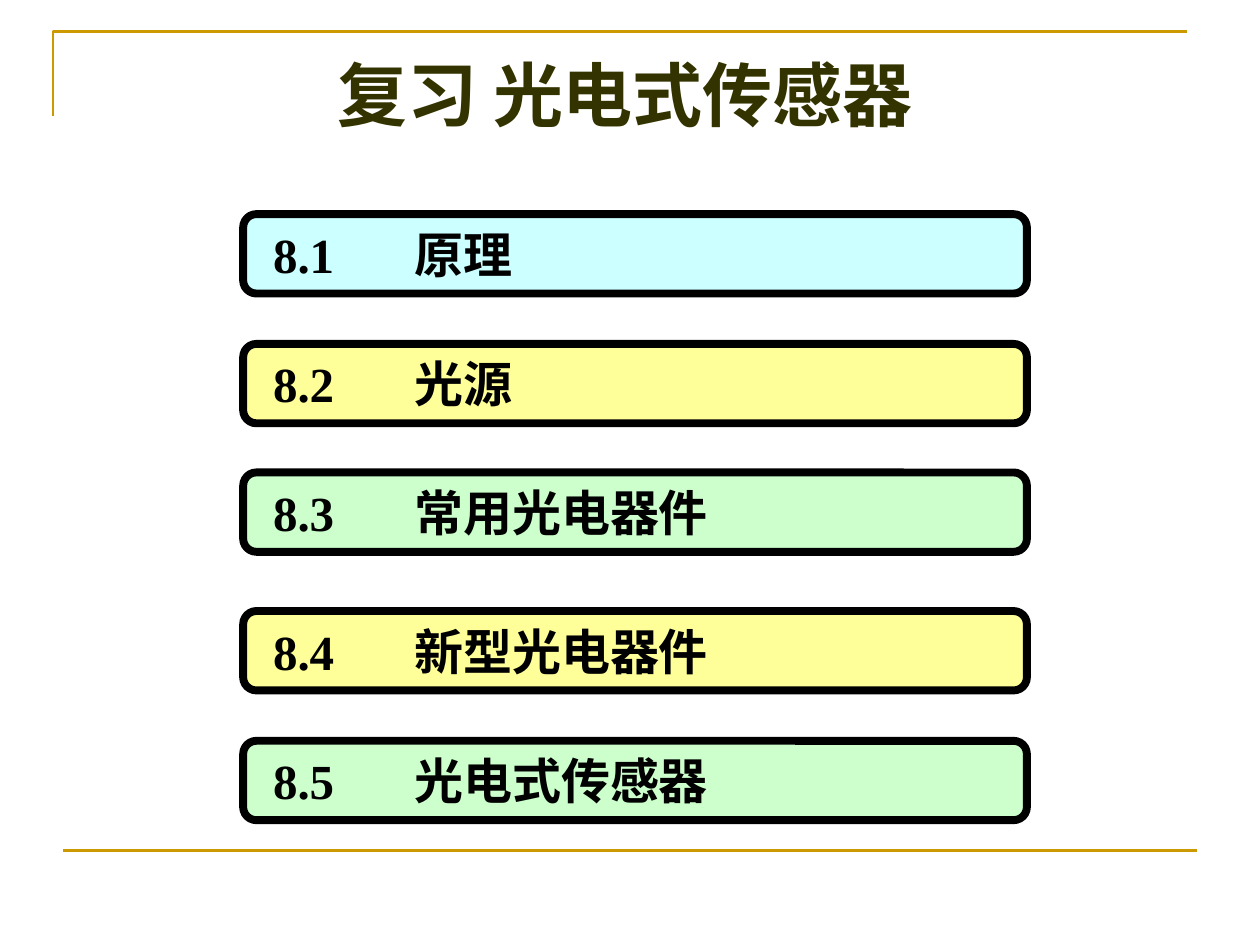
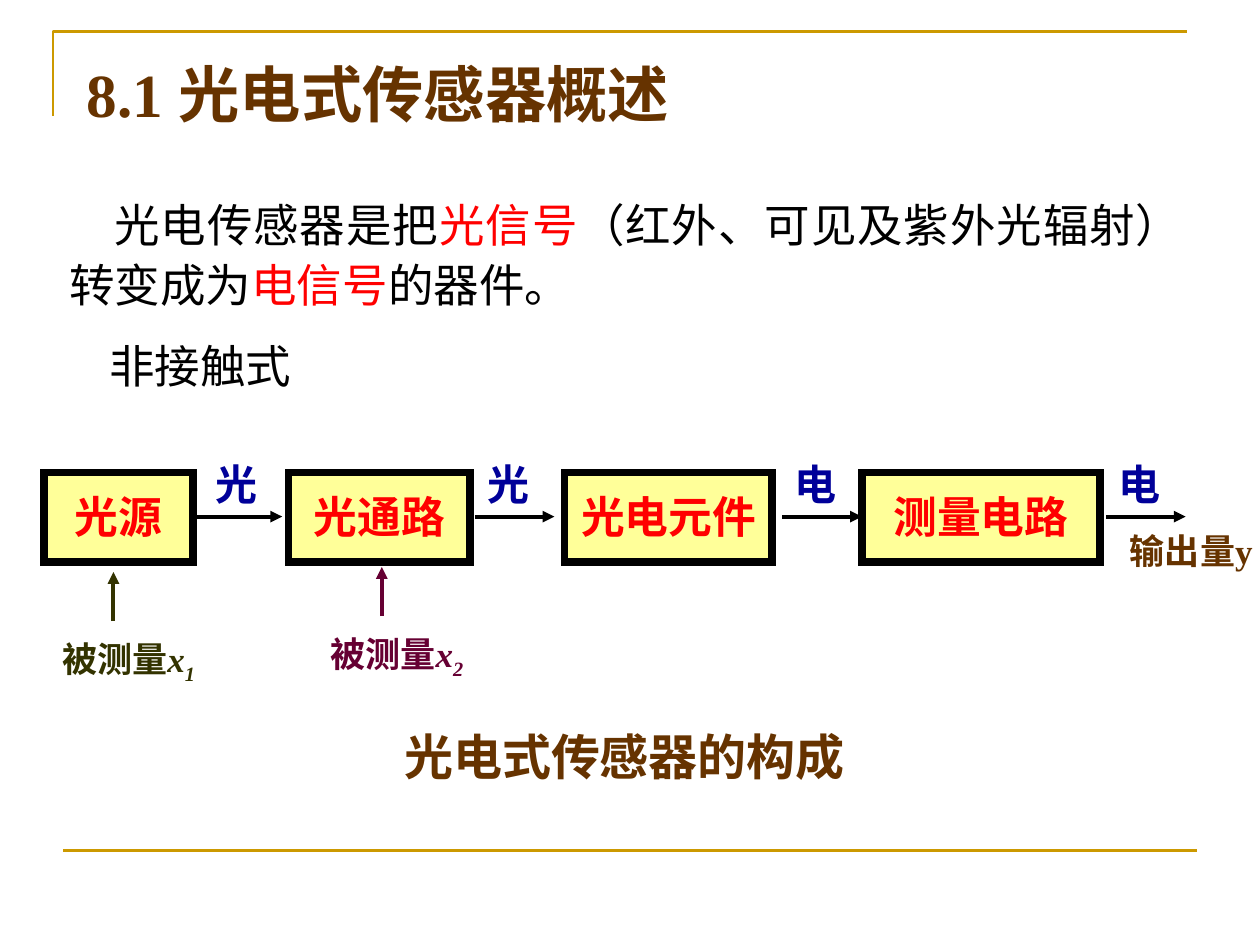
from lxml.etree import SubElement
from pptx import Presentation
from pptx.dml.color import RGBColor
from pptx.enum.lang import MSO_LANGUAGE_ID as LANG
from pptx.enum.shapes import MSO_CONNECTOR as LINK, MSO_SHAPE as SHAPE
from pptx.enum.text import PP_ALIGN as ALIGN
from pptx.oxml.ns import qn
from pptx.util import Pt

# Shared style: 100 px to the inch
PX = 9144
SANS, SERIF, CJK = "Arial", "Times New Roman", "Noto Sans CJK SC"
GOLD, BROWN, OLIVE, PLUM = "CC9900", "663300", "333300", "660033"
BLACK, RED, NAVY = "000000", "FF0000", "000099"
CYAN, CREAM, MINT = "CCFFFF", "FFFF99", "CCFFCC"


def color(code):
    return RGBColor.from_string(code)


class Deck:
    """Holds the presentation and the slide being drawn."""

    def __init__(self):
        self.prs = Presentation()
        self.prs.slide_width, self.prs.slide_height = 1000 * PX, 750 * PX

    def page(self):
        self.slide = self.prs.slides.add_slide(self.prs.slide_layouts[6])
        self.shapes = self.slide.shapes
        # Corner rule and bottom rule
        path = self.shapes.build_freeform(42, 92, scale=PX)
        path.add_line_segments([(42, 25), (942, 25)], close=False)
        rule = path.convert_to_shape()
        rule.fill.background()
        rule.shadow.inherit = False
        self.pen(rule, GOLD, 1.5)
        self.line((50, 675), (950, 675), GOLD, 1.5)

    def pen(self, item, hue, width):
        item.line.color.rgb = color(hue)
        item.line.width = Pt(width)

    def line(self, start, end, hue=BLACK, width=2.25, arrow=False):
        ends = [v * PX for v in (*start, *end)]
        link = self.shapes.add_connector(LINK.STRAIGHT, *ends)
        self.pen(link, hue, width)
        if arrow:
            SubElement(link.line._get_or_add_ln(), qn("a:tailEnd"), type="triangle")
        SubElement(link._element.spPr, qn("a:effectLst"))

    def box(self, kind, area, fill):
        box = self.shapes.add_shape(kind, *[v * PX for v in area])
        box.shadow.inherit = False
        box.fill.solid()
        box.fill.fore_color.rgb = color(fill)
        self.pen(box, BLACK, 4.5)
        if kind == SHAPE.RECTANGLE:
            SubElement(box.line._get_or_add_ln(), qn("a:miter"), lim="800000")

    def frame(self, area):
        frame = self.shapes.add_textbox(*[v * PX for v in area]).text_frame
        frame.word_wrap = True
        return frame

    def fill(self, para, parts, size, hue, face=SANS, bold=True, align=ALIGN.LEFT):
        """Each part is a text, or a text with its own font settings."""
        para.alignment = align
        font = para.font
        font.size, font.bold, font.name = Pt(size), bold, face
        font.color.rgb = color(hue)
        font.language_id = LANG.SIMPLIFIED_CHINESE
        for part in [parts] if isinstance(parts, str) else parts:
            words, own = (part, {}) if isinstance(part, str) else part
            run = para.add_run()
            run.text = words
            if "hue" in own:
                run.font.color.rgb = color(own["hue"])
            if "face" in own:
                run.font.name = own["face"]
            if "italic" in own:
                run.font.italic = True
            if "base" in own:
                run._r.get_or_add_rPr().set("baseline", str(own["base"]))

    def text(self, area, parts, size, hue, **style):
        self.fill(self.frame(area).paragraphs[0], parts, size, hue, **style)


def outline(deck):
    deck.page()
    deck.text((185, 36, 622, 93), "复习 光电式传感器", 40, OLIVE,
              face=CJK, align=ALIGN.CENTER)
    # Chapter cards
    cards = [(170, "原理", CYAN), (273, "光源", CREAM), (375, "常用光电器件", MINT),
             (485, "新型光电器件", CREAM), (588, "光电式传感器", MINT)]
    for num, (top, name, tint) in enumerate(cards, 1):
        deck.box(SHAPE.ROUNDED_RECTANGLE, (193, top, 622, 63), tint)
        deck.text((319, top + 3, 457, 57), name, 28, BLACK)
        deck.text((205, top + 3, 72, 57), f"8.{num}", 28, BLACK,
                  face=SERIF, align=ALIGN.CENTER)


def intro(deck):
    deck.page()
    deck.text((59, 40, 488, 127), [("8.1 ", {"face": SERIF}), "光电式传感器概述"],
              35, BROWN)

    # Chain of parts
    nodes = [(35, 118, "光源"), (229, 144, "光通路"),
             (448, 165, "光电元件"), (684, 189, "测量电路")]
    for left, wide, name in nodes:
        deck.box(SHAPE.RECTANGLE, (left, 375, wide, 71), CREAM)
        deck.text((left, 384, wide, 52), name, 25, RED, align=ALIGN.CENTER)

    # Signals between the parts
    flows = [(153, 224, 161, "光"), (377, 440, 377, "光"),
             (621, 684, 621, "电"), (878, 941, 878, "电")]
    for start, end, left, name in flows:
        deck.line((start, 410), (end, 410), arrow=True)
        deck.text((left, 359, 47, 50), name, 24, NAVY)
    deck.text((874, 415, 130, 44), ["输出量", ("y", {"face": SERIF})], 20, BROWN,
              align=ALIGN.RIGHT)

    # Measured inputs
    for num, (left, top, hue) in enumerate([(35, 454, OLIVE), (248, 450, PLUM)], 1):
        deck.line((left + 55, top + 39), (left + 55, top), hue, arrow=True)
        slant = {"face": SERIF, "italic": True}
        parts = ["被测量", ("x", slant), (str(num), {**slant, "base": -25000})]
        deck.text((left, top + 47, 134, 48), parts, 20, hue, align=ALIGN.CENTER)

    # Definition
    red = {"hue": RED}
    lines = [(36, 0, ["光电传感器是把", ("光信号", red),
                      "（红外、可见及紫外光辐射）转变成为", ("电信号", red), "的器件。"]),
             (32, 12, "非接触式")]
    frame = deck.frame((45, 147, 903, 173))
    for spot, (indent, gap, parts) in enumerate(lines):
        para = frame.add_paragraph() if spot else frame.paragraphs[0]
        para._p.get_or_add_pPr().set("indent", str(indent * PX))
        para.line_spacing = 1.1
        para.space_before = Pt(gap)
        deck.fill(para, parts, 26, BLACK, face=CJK, bold=False, align=ALIGN.JUSTIFY)

    deck.text((311, 572, 378, 57), "光电式传感器的构成", 28, BROWN)


def main():
    deck = Deck()
    outline(deck)
    intro(deck)
    deck.prs.save("out.pptx")


if __name__ == "__main__":
    main()
